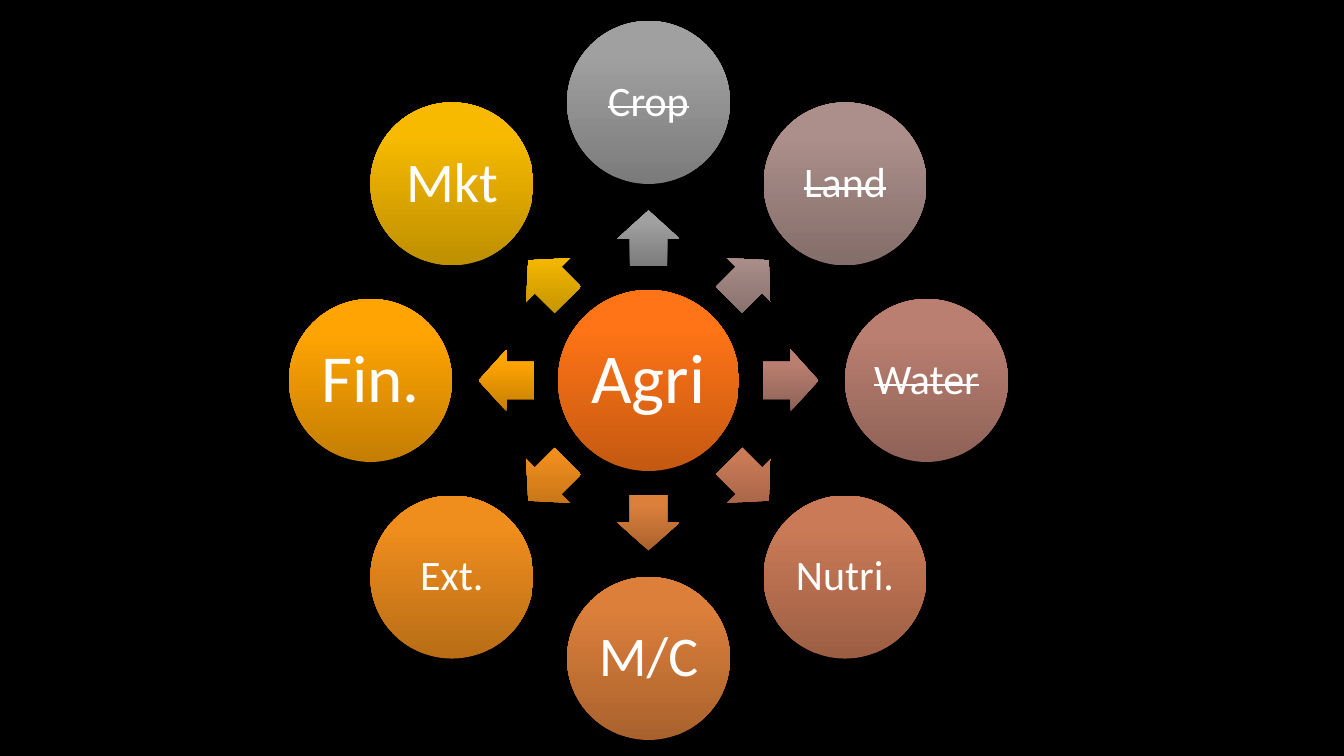
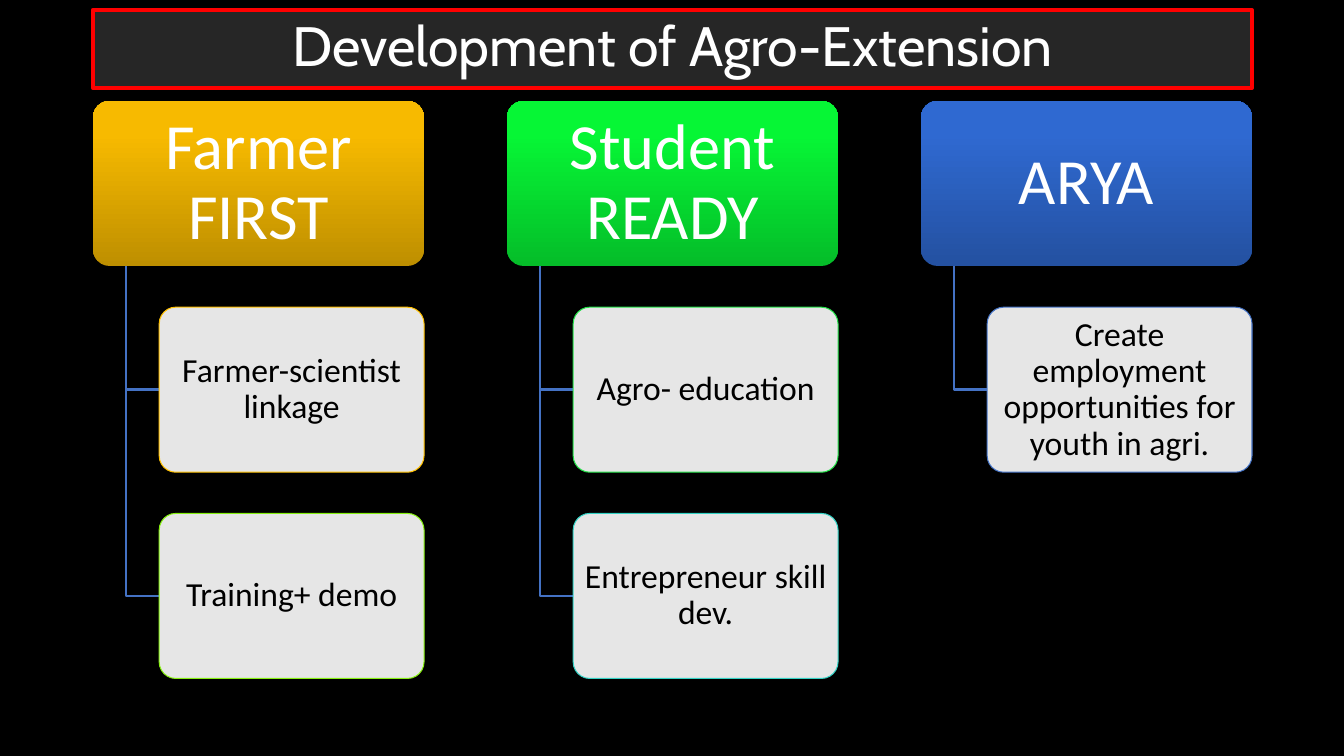
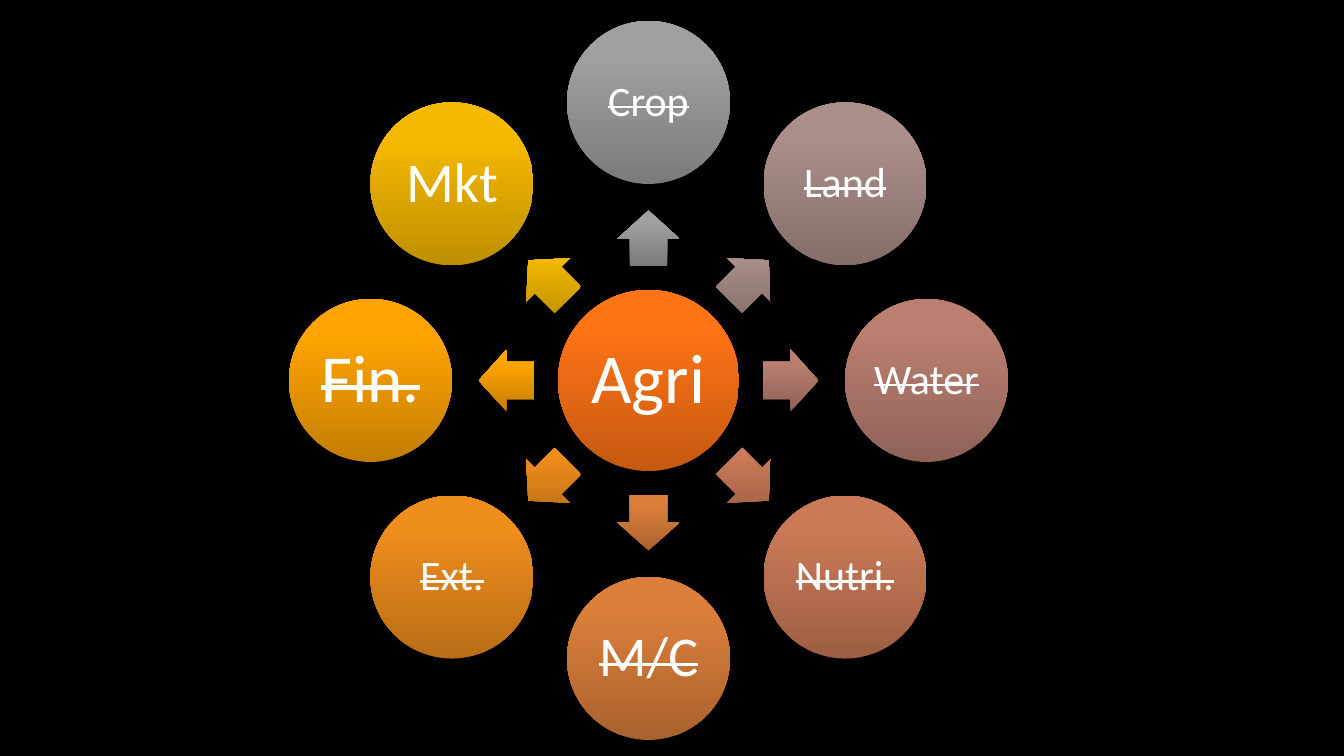
import math

from pptx import Presentation
from pptx import util as u
from pptx.dml.color import RGBColor
from pptx.enum import shapes, text

PX = 12192000 / 1344
COLORS = {
    "background": "000000",
    "white": "FFFFFF",
    "black": "000000",
    "title": "262626",
    "title_line": "FF0000",
    "card": "E6E6E6",
    "branch": "4472C4",
    "Agri": "FF7416",
    "Crop": "A0A0A0",
    "Land": "AC8F8A",
    "Water": "BA7F71",
    "Nutri.": "CA7A57",
    "M/C": "DB7F3B",
    "Ext.": "EF8D1D",
    "Fin.": "FFA402",
    "Mkt": "F7BA00",
    "Farmer FIRST": "F7BA00",
    "Student READY": "06F635",
    "ARYA": "2F69D1",
    "Farmer-scientist linkage": "FFC000",
    "Training+ demo": "86F011",
    "Agro- education": "23E148",
    "Entrepreneur skill dev.": "33D2C5",
    "Create employment opportunities for youth in agri.": "4472C4",
}
SHADE = 0.77
SPOKES = [("Crop", 30), ("Land", 30), ("Water", 30), ("Nutri.", 30),
          ("M/C", 40), ("Ext.", 30), ("Fin.", 48), ("Mkt", 40)]
PROGRAMMES = [
    ("Farmer FIRST", ["Farmer-scientist linkage", "Training+ demo"]),
    ("Student READY", ["Agro- education", "Entrepreneur skill dev."]),
    ("ARYA", ["Create employment opportunities for youth in agri."]),
]


def px(length):
    """Turn px into EMU."""
    return u.Emu(round(length * PX))


def rgb(name):
    """Look up a named colour."""
    return RGBColor.from_string(COLORS[name])


def add_part(slide, preset, box, fill, line=None, line_width=0.75):
    """Place a preset shape with a plain fill and an optional outline."""
    part = slide.shapes.add_shape(preset, *map(px, box))
    part.shadow.inherit = False
    part.fill.solid()
    part.fill.fore_color.rgb = rgb(fill)
    if line:
        part.line.color.rgb = rgb(line)
        part.line.width = u.Pt(line_width)
    else:
        part.line.fill.background()
    return part


def add_glossy(slide, preset, box, color, rotation=0):
    """Place a shape that darkens towards the bottom of the slide."""
    part = add_part(slide, preset, box, color)
    part.rotation = rotation
    light = rgb(color)
    part.fill.gradient()
    part.fill.gradient_angle = (90 + rotation) % 360
    bottom, top = part.fill.gradient_stops
    bottom.color.rgb = RGBColor(*(round(c * SHADE) for c in light))
    bottom.position = 0
    top.color.rgb = light
    top.position = 0.8
    return part


def write(part, words, size, color="white", font="Calibri", inset=(5, 5), struck=False):
    """Write one centred run into a shape."""
    frame = part.text_frame
    frame.word_wrap = True
    frame.vertical_anchor = text.MSO_ANCHOR.MIDDLE
    frame.margin_left = frame.margin_right = px(inset[0])
    frame.margin_top = frame.margin_bottom = px(inset[1])
    paragraph = frame.paragraphs[0]
    paragraph.alignment = text.PP_ALIGN.CENTER
    paragraph.line_spacing = 0.9
    run = paragraph.add_run()
    run.text = words
    run.font.size = u.Pt(size)
    run.font.name = font
    run.font.color.rgb = rgb(color)
    if struck:
        run.font._element.set("strike", "sngStrike")


def centred(x, y, width, height):
    """Return the box of a given size around a point."""
    return x - width / 2, y - height / 2, width, height


def new_slide(deck):
    """Add a blank slide with the shared background."""
    slide = deck.slides.add_slide(deck.slide_layouts[6])
    slide.background.fill.solid()
    slide.background.fill.fore_color.rgb = rgb("background")
    return slide


def wheel_slide(deck, box, struck):
    """Build the hub with its spokes inside a square box."""
    slide = new_slide(deck)
    left, top, side = box
    x, y = left + side / 2, top + side / 2
    node_size = 163
    orbit = (side - node_size) / 2
    arrow_orbit = 142
    oval = shapes.MSO_SHAPE.OVAL
    write(add_glossy(slide, oval, centred(x, y, 181, 181), "Agri"), "Agri", 50)
    for i, (label, size) in enumerate(SPOKES):
        turn = (270 + i * 360 / len(SPOKES)) % 360
        dx, dy = math.cos(math.radians(turn)), math.sin(math.radians(turn))
        arrow_box = centred(x + arrow_orbit * dx, y + arrow_orbit * dy, 56, 62)
        arrow = add_glossy(slide, shapes.MSO_SHAPE.RIGHT_ARROW, arrow_box, label, turn)
        arrow.adjustments[0] = 0.6
        node_box = centred(x + orbit * dx, y + orbit * dy, node_size, node_size)
        node = add_glossy(slide, oval, node_box, label)
        write(node, label, size, struck=label in struck)


def add_branch(slide, x, y, width, height):
    """Draw an elbow line down and then right."""
    outline = slide.shapes.build_freeform(px(x), px(y))
    outline.add_line_segments([(px(x), px(y + height)), (px(x + width), px(y + height))], close=False)
    branch = outline.convert_to_shape()
    branch.shadow.inherit = False
    branch.fill.background()
    branch.line.color.rgb = rgb("branch")
    branch.line.width = u.Pt(2)


def programme_column(slide, box, heading, points):
    """Place a heading card with its point cards hanging below."""
    left, top, width = box
    height = width // 2
    step = height * 5 / 4
    indent = width / 5
    rounded = shapes.MSO_SHAPE.ROUNDED_RECTANGLE
    head = add_glossy(slide, rounded, (left, top, width, height), heading)
    head.adjustments[0] = 0.1
    write(head, heading, 46, inset=(10, 6))
    for i, point in enumerate(points, 1):
        add_branch(slide, left + indent / 2, top + height, indent / 2, i * step - height / 2)
        card_box = (left + indent, top + i * step, width - indent, height)
        card = add_part(slide, rounded, card_box, "card", point)
        card.adjustments[0] = 0.1
        write(card, point, 24, "black", inset=(5, 3))


def programme_slide(deck, box):
    """Build the titled slide with one column for each programme."""
    slide = new_slide(deck)
    left, top, width = box
    column_width = 331
    pitch = (width - column_width) / (len(PROGRAMMES) - 1)
    for i, (heading, points) in enumerate(PROGRAMMES):
        programme_column(slide, (left + i * pitch, top + 91, column_width), heading, points)
    banner = add_part(slide, shapes.MSO_SHAPE.RECTANGLE, (left, top, width, 78), "title", "title_line", 3)
    write(banner, "Development of Agro-Extension", 39.6, font="Cabin")


def main():
    """Build and save the deck."""
    deck = Presentation()
    deck.slide_width, deck.slide_height = px(1344), px(756)
    wheel = (289, 21, 719)
    resources = {"Crop", "Land", "Water"}
    wheel_slide(deck, wheel, resources)
    programme_slide(deck, (93, 10, 1159))
    wheel_slide(deck, wheel, resources | {"Nutri.", "M/C", "Ext.", "Fin."})
    deck.save("out.pptx")


if __name__ == "__main__":
    main()
